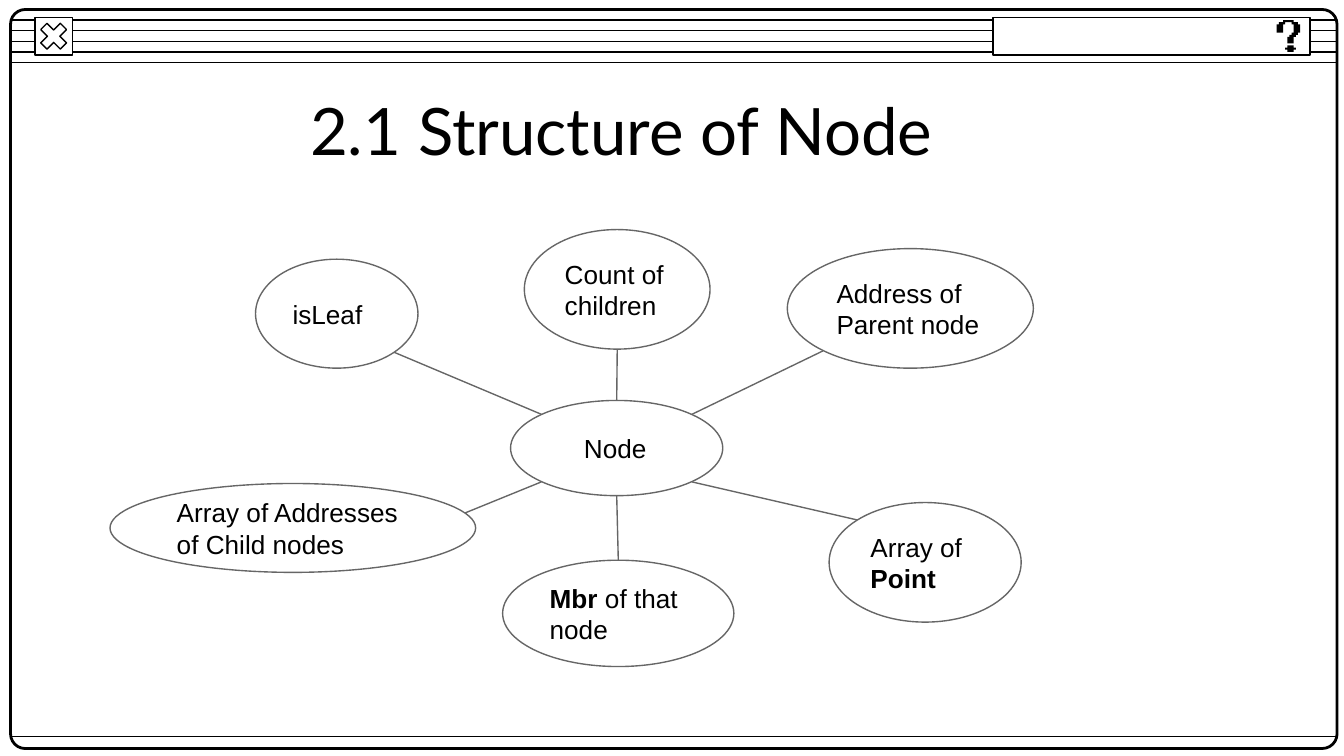
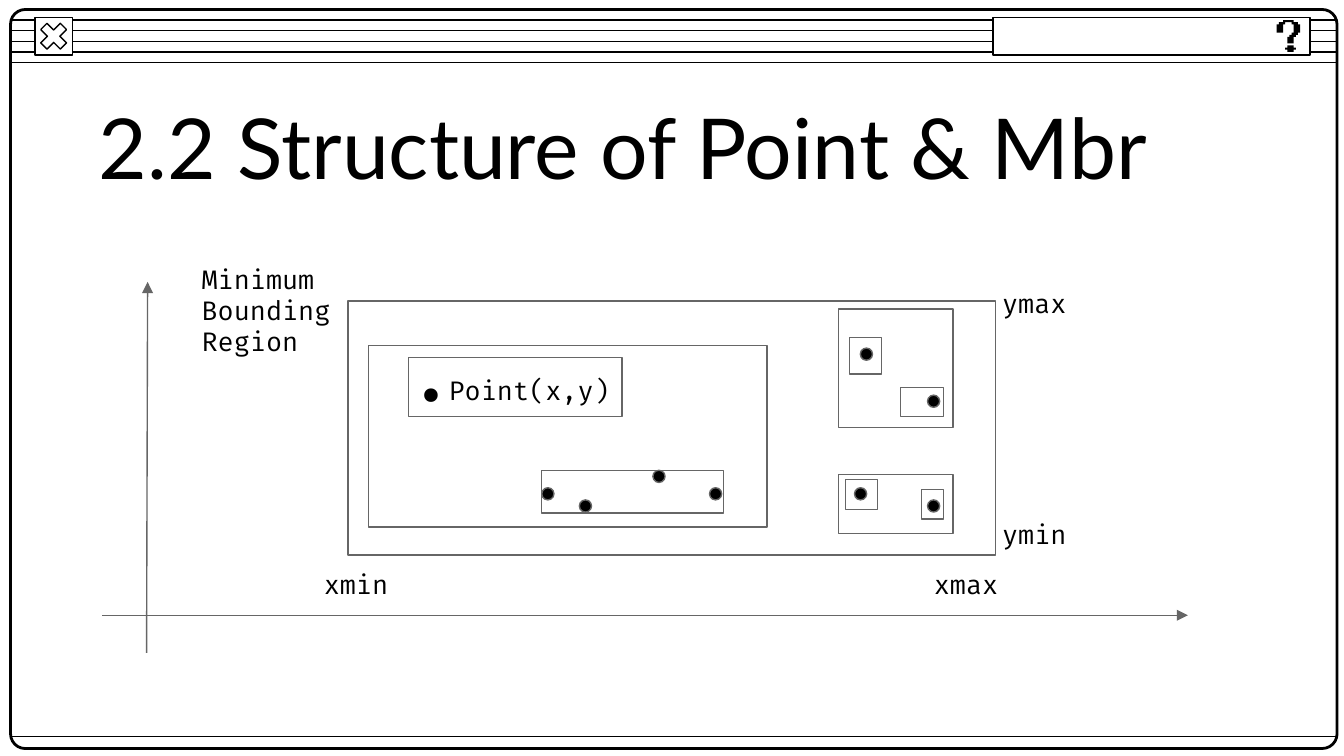
from lxml import etree
from pptx import Presentation
from pptx import util as u
from pptx.dml.color import RGBColor
from pptx.enum import shapes, text
from pptx.oxml.ns import qn

BLACK = RGBColor(0x00, 0x00, 0x00)
WHITE = RGBColor(0xFF, 0xFF, 0xFF)
GREY = RGBColor(0x66, 0x66, 0x66)
SHAPE = shapes.MSO_SHAPE
INSET = 0.25
DIAGONAL = 0.71
DOT_SIZE = 0.23

HOOK = [(3, 0), (3, 1), (1, 1), (1, 2), (0, 2), (0, 6), (3, 6), (3, 2), (4, 2), (4, 1),
        (7, 1), (7, 2), (8, 2), (8, 6), (7, 6), (7, 7), (6, 7), (6, 8), (5, 8), (5, 11),
        (8, 11), (8, 8), (9, 8), (9, 7), (10, 7), (10, 6), (11, 6), (11, 2), (10, 2),
        (10, 1), (8, 1), (8, 0)]
HOOK_DOT = [(5, 12), (5, 13), (4, 13), (4, 14), (5, 14), (5, 15), (8, 15), (8, 14),
            (9, 14), (9, 13), (8, 13), (8, 12)]

HUB = (7.57, 3.23, 4.01, 1.8)
ATTRIBUTES = [
    ([("Array of Addresses of Child nodes", False)], (0, 4.8, 6.91, 1.68),
     (-DIAGONAL, DIAGONAL), (0.43, 0.52)),
    ([("Mbr", True), (" of that node", False)], (7.42, 6.25, 4.37, 2.01), (0, 1), (0, -1)),
    ([("isLeaf", False)], (2.75, 0.56, 3.07, 2.06),
     (-DIAGONAL, -DIAGONAL), (DIAGONAL, DIAGONAL)),
    ([("Count of children", False)], (7.83, 0, 3.51, 2.26), (0, -1), (0, 1)),
    ([("Address of Parent node", False)], (12.8, 0.36, 4.65, 2.26),
     (DIAGONAL, -DIAGONAL), (-DIAGONAL, DIAGONAL)),
    ([("Array of ", False), ("Point", True)], (13.59, 5.16, 3.63, 2.26),
     (DIAGONAL, DIAGONAL), (-DIAGONAL, -DIAGONAL)),
]

AXES = [((0.84, 7.62), (0.86, 0.61)), ((0, 6.91), (20.52, 6.91))]
LABELS = [
    ("xmin", (3.94, 5.77, 2.84, 1.12), 14),
    ("xmax", (15.47, 5.77, 1.98, 1.12), 14),
    ("ymin", (16.76, 4.83, 2.51, 1.12), 14),
    ("ymax", (16.76, 0.46, 2.51, 1.12), 14),
    ("Minimum Bounding Region", (1.63, 0, 3.73, 2.31), 14),
    ("Point(x,y)", (6.3, 2.11, 5.66, 1.12), 14),
    (".", (5.54, 1.2, 0.89, 2.24), 40),
]
REGION = (4.65, 0.97, 12.24, 4.8)
OPEN_REGIONS = [(5.03, 1.81, 7.54, 3.43), (5.79, 2.04, 4.04, 1.12)]
FILLED_REGIONS = [
    (13.92, 1.12, 2.16, 2.24), (8.31, 4.17, 3.43, 0.81), (13.92, 4.25, 2.16, 1.12),
    (14.12, 1.66, 0.61, 0.69), (15.09, 2.6, 0.81, 0.56), (14.05, 4.35, 0.61, 0.56),
    (15.49, 4.53, 0.41, 0.56),
]
POINTS = [(9.02, 4.73), (10.41, 4.17), (14.33, 1.86), (14.22, 4.5),
          (15.6, 4.73), (11.48, 4.5), (8.31, 4.5), (15.6, 2.75)]


def lengths(*values):
    """Turn centimetre numbers into lengths."""
    return [u.Cm(v) for v in values]


def shifted(part, box):
    """Move a part's left and top by those of the box around it."""
    return (part[0] + box[0], part[1] + box[1], *part[2:])


def write(tf, runs, font="Arial", size=14, indent=INSET, anchor=text.MSO_ANCHOR.MIDDLE):
    """Fill a text frame with one left-aligned paragraph of (text, bold) runs."""
    tf.word_wrap = True
    tf.vertical_anchor = anchor
    tf.margin_left = u.Cm(indent)
    tf.margin_top = tf.margin_right = tf.margin_bottom = u.Cm(INSET)
    p = tf.paragraphs[0]
    p.alignment = text.PP_ALIGN.LEFT
    for words, bold in runs:
        r = p.add_run()
        r.text = words
        r.font.name, r.font.size, r.font.bold = font, u.Pt(size), bold
        r.font.color.rgb = BLACK


def paint(sp, fill=None, line=None, width=0.75):
    """Set a shape's fill and outline and drop its shadow."""
    sp.shadow.inherit = False
    if fill is None:
        sp.fill.background()
    else:
        sp.fill.solid()
        sp.fill.fore_color.rgb = fill
    if line is None:
        sp.line.fill.background()
    else:
        sp.line.color.rgb = line
        sp.line.width = u.Pt(width)


def add_shape(s, kind, box, fill=None, line=GREY, width=0.75):
    """Add a painted preset shape."""
    sp = s.shapes.add_shape(kind, *lengths(*box))
    paint(sp, fill, line, width)
    return sp


def add_line(s, start, end, color=GREY, arrow=False):
    """Add a straight line, with an arrowhead at its end if asked."""
    c = s.shapes.add_connector(shapes.MSO_CONNECTOR.STRAIGHT, *lengths(*start, *end))
    c.line.color.rgb = color
    c.line.width = u.Pt(0.75)
    if arrow:
        etree.SubElement(c.line._get_or_add_ln(), qn("a:tailEnd"), type="triangle")
    etree.SubElement(c._element.spPr, qn("a:effectLst"))


def add_question_mark(s, left, top):
    """Draw the pixelled question mark on a grid of small squares."""
    for outline in (HOOK_DOT, HOOK):
        fb = s.shapes.build_freeform(*outline[0], scale=u.Cm(0.04))
        fb.add_line_segments(outline[1:], close=True)
        paint(fb.convert_to_shape(*lengths(left, top)), BLACK)


def add_window(s, box):
    """Draw the window frame with its title bar, buttons and bottom line."""
    left, top, width, height = box
    bar_lines = [0.2 * (i + 1) for i in range(5)]
    for y in bar_lines + [height - 0.23]:
        add_line(s, (left, top + y), (left + width, top + y), BLACK)
    frame = add_shape(s, SHAPE.ROUNDED_RECTANGLE, box, None, BLACK, 1.5)
    frame.adjustments[0] = 0.02
    close = shifted((0.46, 0.15, 0.71, 0.71), box)
    add_shape(s, SHAPE.RECTANGLE, close, WHITE, BLACK)
    add_shape(s, SHAPE.MATH_MULTIPLY, close, WHITE, BLACK).adjustments[0] = 0.235
    add_shape(s, SHAPE.RECTANGLE, shifted((18.57, 0.15, 5.99, 0.71), box), WHITE, BLACK)
    add_question_mark(s, left + 23.93, top + 0.2)


def add_slide(prs, title, box, size, indent):
    """Add a title-only slide with the window and a formatted title."""
    s = prs.slides.add_slide(prs.slide_layouts[5])
    add_window(s, (0.2, 0.18, 25.07, 13.97))
    sp = s.shapes.title
    sp.left, sp.top, sp.width, sp.height = lengths(*box)
    sp.text_frame.auto_size = text.MSO_AUTO_SIZE.NONE
    write(sp.text_frame, [(title, False)], "Lato", size, indent)
    return s


def on_ellipse(box, reach):
    """Return the point at the given share of the half axes from the centre."""
    left, top, width, height = box
    return left + width / 2 * (1 + reach[0]), top + height / 2 * (1 + reach[1])


def add_node_map(s, box):
    """Draw the node with its attributes around it."""
    hub = shifted(HUB, box)
    for _, place, hub_side, own_side in ATTRIBUTES:
        add_line(s, on_ellipse(hub, hub_side), on_ellipse(shifted(place, box), own_side))
    sp = add_shape(s, SHAPE.OVAL, hub, WHITE)
    write(sp.text_frame, [("Node", False)], indent=0.8)
    for runs, place, _, _ in ATTRIBUTES:
        sp = add_shape(s, SHAPE.OVAL, shifted(place, box), WHITE)
        write(sp.text_frame, runs)


def add_region_plot(s, box):
    """Draw the axes, the nested bounding regions, their labels and points."""
    for start, end in AXES:
        add_line(s, shifted(start, box), shifted(end, box), arrow=True)
    add_shape(s, SHAPE.RECTANGLE, shifted(REGION, box), WHITE)
    for words, place, size in LABELS:
        tf = s.shapes.add_textbox(*lengths(*shifted(place, box))).text_frame
        write(tf, [(words, False)], "Fira Code", size, anchor=text.MSO_ANCHOR.TOP)
        tf.auto_size = text.MSO_AUTO_SIZE.SHAPE_TO_FIT_TEXT
    for fill, regions in ((None, OPEN_REGIONS), (WHITE, FILLED_REGIONS)):
        for region in regions:
            add_shape(s, SHAPE.RECTANGLE, shifted(region, box), fill)
    for point in POINTS:
        add_shape(s, SHAPE.OVAL, shifted((*point, DOT_SIZE, DOT_SIZE), box), BLACK)


def main():
    """Build both slides and save them."""
    prs = Presentation()
    prs.slide_width, prs.slide_height = lengths(25.4, 14.29)
    s = add_slide(prs, "2.1 Structure of Node", (2.77, 1.55, 19.33, 1.8), 35, 3.09)
    add_node_map(s, (2.08, 4.34))
    s = add_slide(prs, "2.2 Structure of Point & Mbr", (0.46, 0.64, 24.51, 4.24), 45, 1.41)
    add_region_plot(s, (1.93, 4.72))
    prs.save("out.pptx")


if __name__ == "__main__":
    main()
